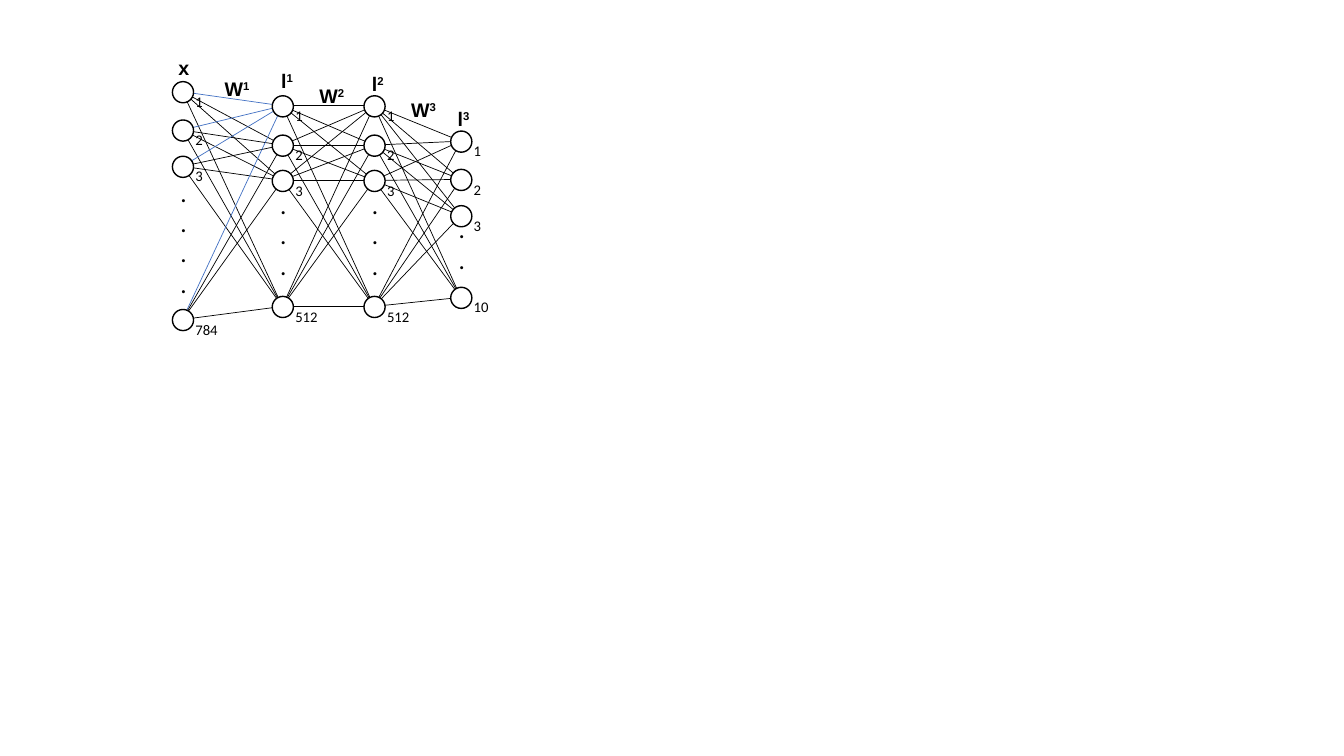
"""Builds a slide with a diagram of a fully connected four-layer neural network."""
from itertools import pairwise, product

from lxml.etree import SubElement
from pptx import Presentation
from pptx.dml.color import RGBColor
from pptx.enum.shapes import MSO_CONNECTOR, MSO_SHAPE
from pptx.enum.text import MSO_AUTO_SIZE
from pptx.oxml.ns import qn
from pptx.util import Emu, Pt

COLORS = {"ink": "000000", "paper": "FFFFFF", "highlight": "4472C4"}
EMU_PER_PX = 9144
NODE_SIZE = 21

LAYERS = [
    {"left": 171, "tops": [81, 119, 155, 307], "last": "784", "dots": (171, 4)},
    {"left": 270, "tops": [95, 134, 169, 294], "last": "512", "dots": (183, 3)},
    {"left": 361, "tops": [95, 134, 169, 294], "last": "512", "dots": (183, 3)},
    {"left": 447, "tops": [130, 168, 204, 285], "last": "10", "dots": (207, 2)},
]
HEADINGS = [
    ("l", "1", 269, 63, 33),
    ("l", "2", 359, 66, 33),
    ("l", "3", 444, 101, 33),
    ("W", "1", 213, 71, 46),
    ("W", "2", 307, 78, 46),
    ("W", "3", 398, 92, 46),
    ("x", "", 167, 51, 31),
]


def px(length):
    """Turn whole pixels into EMU."""
    return Emu(length * EMU_PER_PX)


def color(name):
    """Look up a named colour."""
    return RGBColor.from_string(COLORS[name])


class NetworkSlide:
    """Draws network elements in one style on one slide."""

    def __init__(self, page):
        self.shapes = page.shapes

    def text(self, left, top, width, height, lines, size, font="Calibri", bold=False, superscript=""):
        """Add a text box with one paragraph per line."""
        box = self.shapes.add_textbox(px(left), px(top), px(width), px(height))
        frame = box.text_frame
        frame.word_wrap = False
        frame.auto_size = MSO_AUTO_SIZE.SHAPE_TO_FIT_TEXT
        for index, line in enumerate(lines):
            para = frame.add_paragraph() if index else frame.paragraphs[0]
            for content in filter(None, (line, superscript)):
                span = para.add_run()
                span.text = content
                span.font.size = Pt(size)
                span.font.name = font
                span.font.bold = bold
                span.font.color.rgb = color("ink")
        if superscript:
            span.font._element.set("baseline", "30000")

    def node(self, left, top):
        """Add a neuron circle."""
        circle = self.shapes.add_shape(
            MSO_SHAPE.OVAL, px(left), px(top), px(NODE_SIZE), px(NODE_SIZE))
        circle.shadow.inherit = False
        circle.fill.solid()
        circle.fill.fore_color.rgb = color("paper")
        circle.line.color.rgb = color("ink")
        circle.line.width = Pt(1)

    def link(self, start, end, color_name):
        """Add a thin line between the centres of two neurons."""
        ends = [px(place + NODE_SIZE // 2) for place in (*start, *end)]
        line = self.shapes.add_connector(MSO_CONNECTOR.STRAIGHT, *ends)
        line.line.color.rgb = color(color_name)
        line.line.width = Pt(0.5)
        SubElement(line._element.spPr, qn("a:effectLst"))

    def links(self, source, target):
        """Join every neuron of one layer to every neuron of the next."""
        for start, end in product(source["tops"], target["tops"]):
            highlighted = source is LAYERS[0] and end == target["tops"][0]
            self.link((source["left"], start), (target["left"], end),
                      "highlight" if highlighted else "ink")

    def layer(self, left, tops, last, dots):
        """Add the dots, neurons and neuron numbers of one layer."""
        dots_top, count = dots
        self.text(left - 2, dots_top, 27, 11 + 30 * count, ["."] * count, 18)
        for top, label in zip(tops, ["1", "2", "3", last]):
            self.node(left, top)
            self.text(left + 13, top + 6, 21 + 7 * len(label), 28, [label], 10.5)

    def heading(self, name, superscript, left, top, width):
        """Add a bold symbol with its superscript."""
        self.text(left, top, width, 34, [name], 14, "Arial", True, superscript)


def main():
    """Draw the network and save the deck."""
    deck = Presentation()
    deck.slide_width, deck.slide_height = px(1333), px(750)
    network = NetworkSlide(deck.slides.add_slide(deck.slide_layouts[6]))
    for source, target in pairwise(LAYERS):
        network.links(source, target)
    for layer in LAYERS:
        network.layer(**layer)
    for heading in HEADINGS:
        network.heading(*heading)
    deck.save("out.pptx")


if __name__ == "__main__":
    main()
